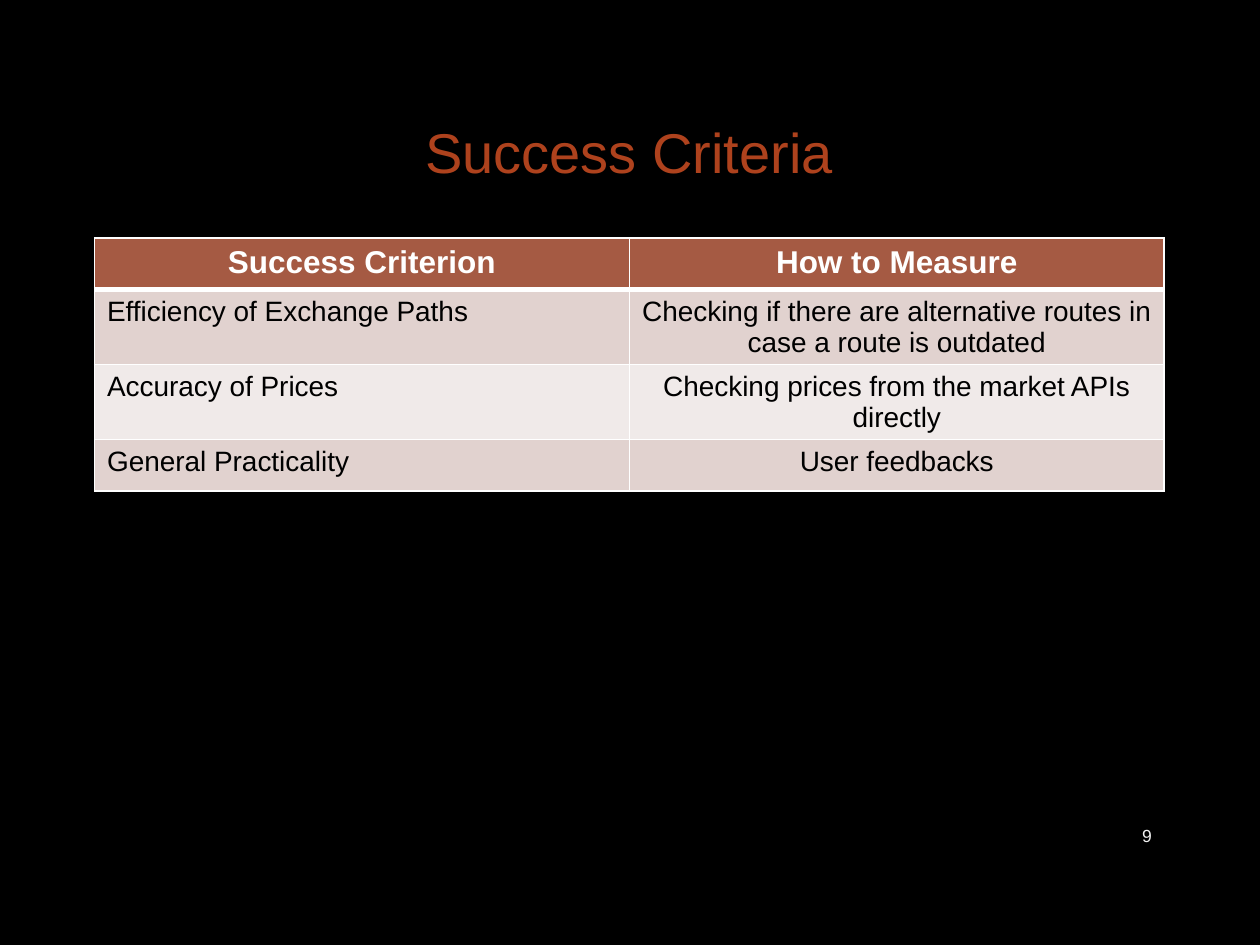
import pptx
import pptx.util
import pptx.dml.color
import pptx.enum.text
import pptx.oxml.ns
import lxml.etree

Inches, Pt = pptx.util.Inches, pptx.util.Pt
Align = pptx.enum.text.PP_ALIGN
Anchor = pptx.enum.text.MSO_ANCHOR
HUES = {"back": "000000", "title": "AE421D", "head": "A55A43", "odd": "E1D2CF",
        "even": "F0EAE9", "white": "FFFFFF", "black": "000000", "page": "F2F2F2"}


def tint(name):
    return pptx.dml.color.RGBColor.from_string(HUES[name])


def write(frame, text, align, hue, **font):
    frame.text = text
    para = frame.paragraphs[0]
    para.alignment = align
    para.runs[0].font.color.rgb = tint(hue)
    for key, val in {"name": "Arial", "bold": False, **font}.items():
        setattr(para.runs[0].font, key, val)


# Slide and its column grid
deck = pptx.Presentation()
deck.slide_width, deck.slide_height = Inches(10), Inches(7.5)
slide = deck.slides.add_slide(deck.slide_layouts[5])
slide.background.fill.solid()
slide.background.fill.fore_color.rgb = tint("back")
left, wide, row = Inches(0.75), Inches(8.49), Inches(0.41)

# Title
title = slide.shapes.title
place = {"left": left, "top": Inches(0.67), "width": wide, "height": Inches(1.06)}
for key, val in place.items():
    setattr(title, key, val)
write(title.text_frame, "Success Criteria", Align.CENTER, "title", size=Pt(32))
title.text_frame.vertical_anchor = Anchor.MIDDLE

# Criteria table
rows = [
    ("Success Criterion", "How to Measure"),
    ("Efficiency of Exchange Paths",
     "Checking if there are alternative routes in case a route is outdated"),
    ("Accuracy of Prices", "Checking prices from the market APIs directly"),
    ("General Practicality", "User feedbacks"),
]
table = slide.shapes.add_table(len(rows), 2, left, Inches(1.89), wide, row * len(rows)).table
for r, texts in enumerate(rows):
    table.rows[r].height = row
    head = r == 0
    fill = "head" if head else "odd" if r % 2 else "even"
    for c, text in enumerate(texts):
        cell = table.cell(r, c)
        align = Align.CENTER if head or c else Align.JUSTIFY if r == 1 else Align.LEFT
        write(cell.text_frame, text, align, "white" if head else "black",
              size=Pt(18 if head else 16), bold=head)

        # White borders, thicker below the header
        props = cell._tc.get_or_add_tcPr()
        for side in "LRTB":
            thick = (r, side) in [(0, "B"), (1, "T")]
            line = lxml.etree.SubElement(props, pptx.oxml.ns.qn("a:ln" + side),
                                         w=str(Pt(3 if thick else 1)))
            paint = lxml.etree.SubElement(line, pptx.oxml.ns.qn("a:solidFill"))
            lxml.etree.SubElement(paint, pptx.oxml.ns.qn("a:srgbClr"), val=HUES["white"])
        cell.fill.solid()
        cell.fill.fore_color.rgb = tint(fill)

# Page number, flush with the right edge of the table
span = Inches(0.62)
page = slide.shapes.add_textbox(left + wide - span, Inches(6.43), span, Inches(0.4))
write(page.text_frame, "9", Align.RIGHT, "page", size=Pt(10))
page.text_frame.word_wrap = True
page.text_frame.vertical_anchor = Anchor.MIDDLE

deck.save("out.pptx")
